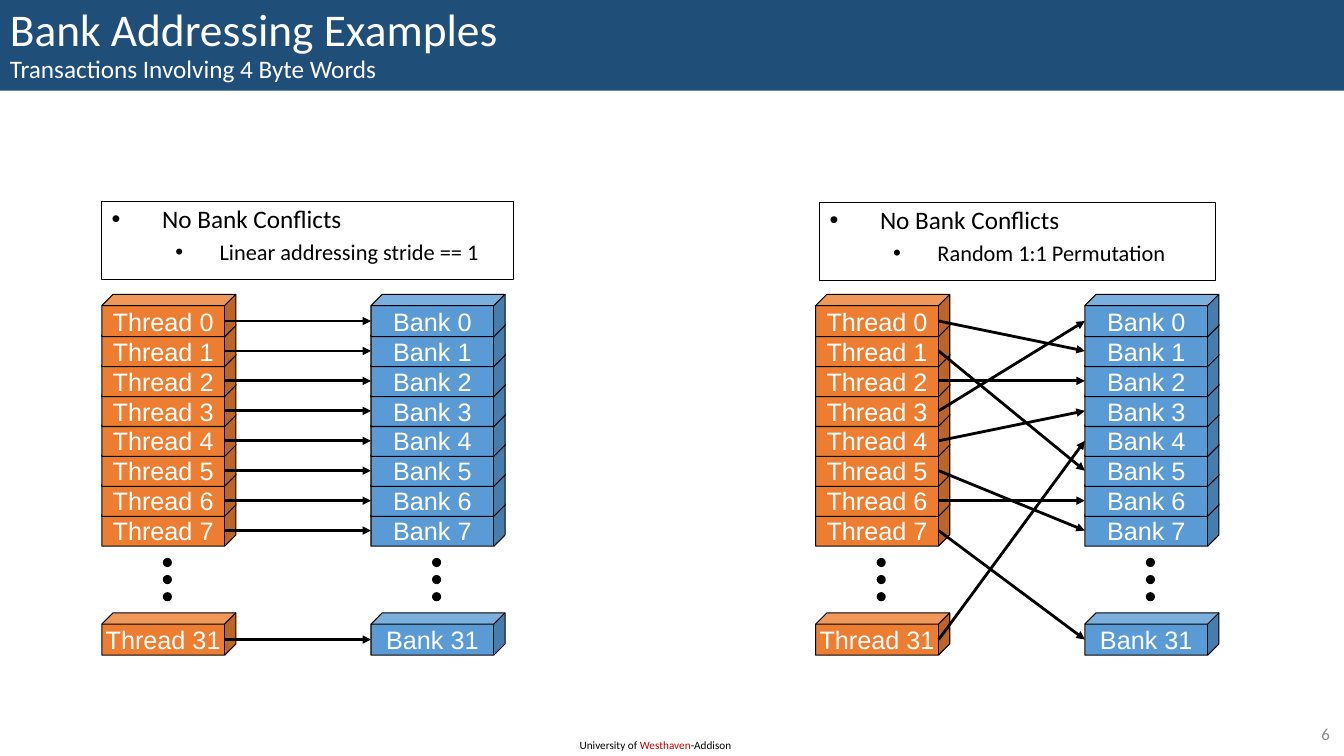
from dataclasses import dataclass

from lxml.etree import SubElement
from pptx import Presentation
from pptx.dml.color import RGBColor
from pptx.enum.shapes import MSO_CONNECTOR, MSO_SHAPE
from pptx.enum.text import MSO_ANCHOR, PP_ALIGN
from pptx.oxml.ns import qn
from pptx.util import Inches, Pt


@dataclass(frozen=True)
class Theme:
    navy: str = "1F4E79"
    orange: str = "ED7D31"
    blue: str = "5B9BD5"
    black: str = "000000"
    white: str = "FFFFFF"
    red: str = "C00000"
    gray: str = "8C8C8C"
    body: str = "Calibri"
    label: str = "Arial"
    title: float = 32.4
    large: float = 18
    medium: float = 16
    small: float = 12
    tiny: float = 8
    thin: float = 0.75
    thick: float = 2


THEME = Theme()

ROWS = [*range(8), 31]
TOP, PITCH, LAST = 2.92, 0.297, 6.08
WIDE, HIGH, DEPTH = 1.33, 0.42, 0.266
FRONT = 1.22
SPAN = 2.67
MID = 0.265
DOT, DOT_LEFT, DOT_TOP, DOT_STEP = 0.08, 0.61, 5.54, 0.17

LINEAR = {row: row for row in ROWS}
RANDOM = {0: 1, 1: 5, 2: 2, 3: 0, 4: 3, 5: 7, 6: 6, 7: 31, 31: 4}


def style(font, size, color, name=THEME.body):
    font.size = Pt(size)
    font.name = name
    font.color.rgb = RGBColor.from_string(color)


def add_form(shapes, kind, box, fill=None, line=None):
    form = shapes.add_shape(kind, *map(Inches, box))
    form.shadow.inherit = False
    if fill:
        form.fill.solid()
        form.fill.fore_color.rgb = RGBColor.from_string(fill)
    else:
        form.fill.background()
    if line:
        form.line.color.rgb = RGBColor.from_string(line)
        form.line.width = Pt(THEME.thin)
    else:
        form.line.fill.background()
    return form


def add_title(shapes, head, sub):
    bar = add_form(shapes, MSO_SHAPE.RECTANGLE, (0, 0, 13.33, 0.9), THEME.navy)
    bar.text_frame.vertical_anchor = MSO_ANCHOR.MIDDLE
    para = bar.text_frame.paragraphs[0]
    para.alignment = PP_ALIGN.LEFT
    para.line_spacing = 0.9
    first = para.add_run()
    first.text = head
    style(first.font, THEME.title, THEME.white)
    para.add_line_break()
    second = para.add_run()
    second.text = sub
    style(second.font, THEME.large, THEME.white)


def add_bullet(para, text, size, left, hang, before):
    para.text = text
    para.alignment = PP_ALIGN.LEFT
    para.line_spacing = 0.9
    para.space_before = Pt(before)
    style(para.font, size, THEME.black)
    props = para._p.get_or_add_pPr()
    props.set("marL", str(Inches(left)))
    props.set("indent", str(-Inches(hang)))
    font = SubElement(props, qn("a:buFont"), typeface=THEME.label)
    font.addnext(SubElement(props, qn("a:buChar"), char="•"))
    # Bullet marks must come before the default run properties.
    props.append(props.find(qn("a:defRPr")))


def add_note(shapes, box, detail):
    note = add_form(shapes, MSO_SHAPE.RECTANGLE, box, line=THEME.black)
    frame = note.text_frame
    frame.vertical_anchor = MSO_ANCHOR.TOP
    add_bullet(frame.paragraphs[0], "No Bank Conflicts", THEME.large, 0.5, 0.5, 10)
    para = frame.add_paragraph()
    para.level = 1
    add_bullet(para, detail, THEME.medium, 1.07, 0.44, 5)


def row_top(row):
    return LAST if row == ROWS[-1] else TOP + row * PITCH


def add_stack(shapes, left, name, fill):
    """Draw cubes from the bottom up, so each covers the top of the one below."""
    for row in reversed(ROWS):
        box = (left, row_top(row), WIDE, HIGH)
        cube = add_form(shapes, MSO_SHAPE.CUBE, box, fill, THEME.black)
        cube.adjustments[0] = DEPTH
        frame = cube.text_frame
        frame.word_wrap = False
        frame.vertical_anchor = MSO_ANCHOR.MIDDLE
        para = frame.paragraphs[0]
        para.text = f"{name} {row}"
        para.alignment = PP_ALIGN.CENTER
        style(para.font, THEME.large, THEME.white, THEME.label)
    for step in range(3):
        box = (left + DOT_LEFT, DOT_TOP + step * DOT_STEP, DOT, DOT)
        add_form(shapes, MSO_SHAPE.OVAL, box, THEME.black, THEME.black)


def add_arrow(shapes, *ends):
    arrow = shapes.add_connector(MSO_CONNECTOR.STRAIGHT, *map(Inches, ends))
    arrow.line.color.rgb = RGBColor.from_string(THEME.black)
    arrow.line.width = Pt(THEME.thick)
    SubElement(arrow.line._get_or_add_ln(), qn("a:tailEnd"), type="triangle")
    SubElement(arrow._element.spPr, qn("a:effectLst"))


def add_panel(slide, left, links):
    shapes = slide.shapes.add_group_shape().shapes
    add_stack(shapes, left + SPAN, "Bank", THEME.blue)
    add_stack(shapes, left, "Thread", THEME.orange)
    for thread, bank in links.items():
        add_arrow(shapes, left + FRONT, row_top(thread) + MID,
                  left + SPAN, row_top(bank) + MID)


def add_text(shapes, box, parts, size, align=PP_ALIGN.LEFT, anchor=MSO_ANCHOR.TOP):
    frame = shapes.add_textbox(*map(Inches, box)).text_frame
    frame.word_wrap = True
    frame.vertical_anchor = anchor
    para = frame.paragraphs[0]
    para.alignment = align
    for text, color in parts:
        run = para.add_run()
        run.text = text
        style(run.font, size, color)


def main():
    deck = Presentation()
    deck.slide_width, deck.slide_height = Inches(13.33), Inches(7.5)
    slide = deck.slides.add_slide(deck.slide_layouts[6])
    shapes = slide.shapes
    school = [("University of ", THEME.black), ("Westhaven", THEME.red),
              ("-Addison", THEME.black)]
    add_text(shapes, (5.65, 7.28, 1.72, 0.24), school, THEME.tiny)
    add_title(shapes, "Bank Addressing Examples",
              "Transactions Involving 4 Byte Words")
    add_note(shapes, (1.01, 2, 4.08, 0.77), "Linear addressing stride == 1")
    add_note(shapes, (8.13, 2.01, 3.93, 0.77), "Random 1:1 Permutation")
    add_panel(slide, 1.01, LINEAR)
    add_panel(slide, 8.09, RANDOM)
    add_text(shapes, (12.53, 7.13, 0.76, 0.29), [("6", THEME.gray)],
             THEME.small, PP_ALIGN.RIGHT, MSO_ANCHOR.MIDDLE)
    deck.save("out.pptx")


if __name__ == "__main__":
    main()
